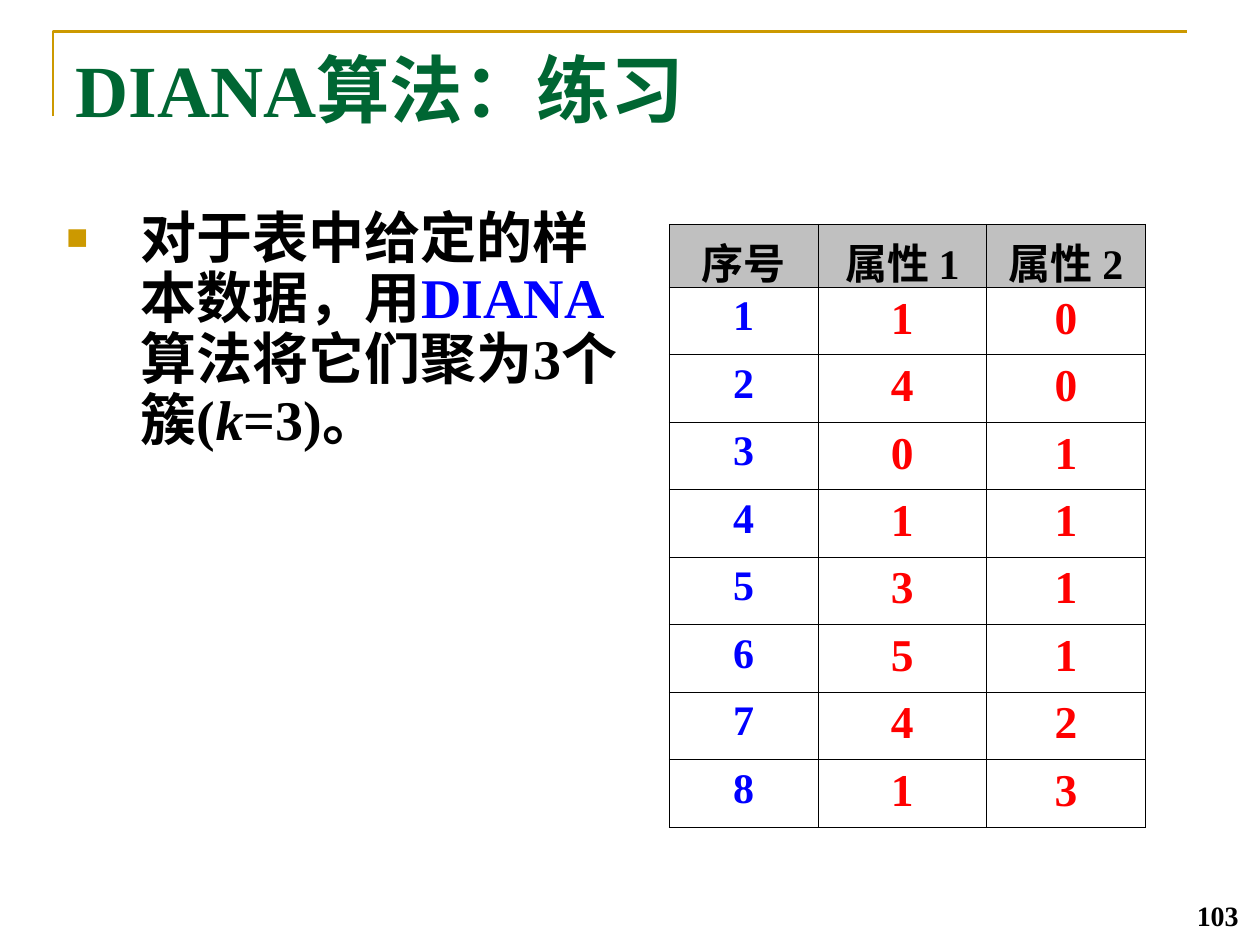
from typing import NamedTuple

import pptx
import pptx.dml.color
import pptx.enum.text
import pptx.oxml
import pptx.oxml.ns
import pptx.util

Cm = pptx.util.Cm
Pt = pptx.util.Pt
Align = pptx.enum.text.PP_ALIGN
Anchor = pptx.enum.text.MSO_ANCHOR

FONT = "Times New Roman"
COLORS = {
    "gold": "CC9900",
    "green": "006633",
    "black": "000000",
    "blue": "0000FF",
    "red": "FF0000",
    "gray": "C0C0C0",
}
HEADS = ["序号", "属性 1", "属性 2"]
POINTS = [(1, 0), (4, 0), (0, 1), (1, 1), (3, 1), (5, 1), (4, 2), (1, 3)]
WIDTHS = [3.0, 3.4, 3.2]
HEAD_HEIGHT, ROW_HEIGHT = 1.27, 1.36


class Box(NamedTuple):
    left: float
    top: float
    width: float
    height: float


class Span(NamedTuple):
    text: str
    size: float
    color: str = "black"
    italic: bool = False


def rgb(name: str) -> pptx.dml.color.RGBColor:
    return pptx.dml.color.RGBColor.from_string(COLORS[name])


def write(para, spans: list[Span]) -> None:
    for span in spans:
        run = para.add_run()
        run.text = span.text
        font = run.font
        font.name, font.size, font.bold = FONT, Pt(span.size), True
        font.italic = span.italic
        font.color.rgb = rgb(span.color)


def add_text(slide, box: Box, spans: list[Span], align=Align.LEFT, anchor=Anchor.TOP):
    shape = slide.shapes.add_textbox(*map(Cm, box))
    frame = shape.text_frame
    frame.word_wrap = True
    frame.vertical_anchor = anchor
    para = frame.paragraphs[0]
    para.alignment = align
    write(para, spans)
    return para


def add_bullet(para, indent: float) -> None:
    """Give the paragraph a hanging gold square."""
    props = para._p.get_or_add_pPr()
    props.set("marL", str(Cm(indent)))
    props.set("indent", str(-Cm(indent)))
    ns = pptx.oxml.ns.nsdecls("a")
    for xml in (
        f'<a:buClr {ns}><a:srgbClr val="{COLORS["gold"]}"/></a:buClr>',
        f'<a:buSzPct {ns} val="65000"/>',
        f'<a:buFont {ns} typeface="{FONT}"/>',
        f'<a:buChar {ns} char="■"/>',
    ):
        props.append(pptx.oxml.parse_xml(xml))


def add_border(cell) -> None:
    props = cell._tc.get_or_add_tcPr()
    ns = pptx.oxml.ns.nsdecls("a")
    for spot, side in enumerate(("lnL", "lnR", "lnT", "lnB")):
        line = pptx.oxml.parse_xml(
            f'<a:{side} {ns} w="{Pt(0.45)}"><a:solidFill>'
            f'<a:srgbClr val="{COLORS["black"]}"/></a:solidFill></a:{side}>'
        )
        props.insert(spot, line)


def fill_cell(cell, span: Span, shade: str | None = None) -> None:
    para = cell.text_frame.paragraphs[0]
    para.alignment = Align.CENTER
    write(para, [span])
    if shade:
        cell.fill.solid()
        cell.fill.fore_color.rgb = rgb(shade)
    else:
        cell.fill.background()
    add_border(cell)


def add_data(slide, left: float, top: float) -> None:
    height = HEAD_HEIGHT + ROW_HEIGHT * len(POINTS)
    box = Box(left, top, sum(WIDTHS), height)
    table = slide.shapes.add_table(len(POINTS) + 1, len(HEADS), *map(Cm, box)).table
    table.first_row = table.horz_banding = False
    for col, width in zip(table.columns, WIDTHS):
        col.width = Cm(width)
    for num, row in enumerate(table.rows):
        row.height = Cm(ROW_HEIGHT if num else HEAD_HEIGHT)
    for col, head in enumerate(HEADS):
        fill_cell(table.cell(0, col), Span(head, 24), "gray")
    for num, point in enumerate(POINTS, 1):
        fill_cell(table.cell(num, 0), Span(str(num), 24, "blue"))
        for col, value in enumerate(point, 1):
            fill_cell(table.cell(num, col), Span(str(value), 26, "red"))


def add_frame(slide) -> None:
    """Draw the open corner line around the title."""
    left, top = Cm(1.07), Cm(0.64)
    pen = slide.shapes.build_freeform(left, Cm(2.34))
    pen.add_line_segments([(left, top), (Cm(23.93), top)], close=False)
    shape = pen.convert_to_shape()
    shape.shadow.inherit = False
    shape.fill.background()
    shape.line.color.rgb = rgb("gold")
    shape.line.width = Pt(1.5)


def main() -> None:
    deck = pptx.Presentation()
    deck.slide_width, deck.slide_height = Cm(25.4), Cm(19.05)
    slide = deck.slides.add_slide(deck.slide_layouts[6])
    add_frame(slide)
    add_text(slide, Box(19.3, 17.65, 5.92, 1.27), [Span("103", 16)],
             Align.RIGHT, Anchor.BOTTOM)
    add_data(slide, 13.49, 4.52)
    task = add_text(slide, Box(1.09, 4.11, 11.61, 5.21), [
        Span("对于表中给定的样本数据，用", 32),
        Span("DIANA", 32, "blue"),
        Span("算法将它们聚为3个簇(", 32),
        Span("k", 32, italic=True),
        Span("=3)。", 32),
    ])
    task.line_spacing = 0.9
    add_bullet(task, 1.5)
    add_text(slide, Box(1.27, 0.76, 22.86, 2.36), [Span("DIANA算法：练习", 42, "green")])
    deck.save("out.pptx")


if __name__ == "__main__":
    main()
